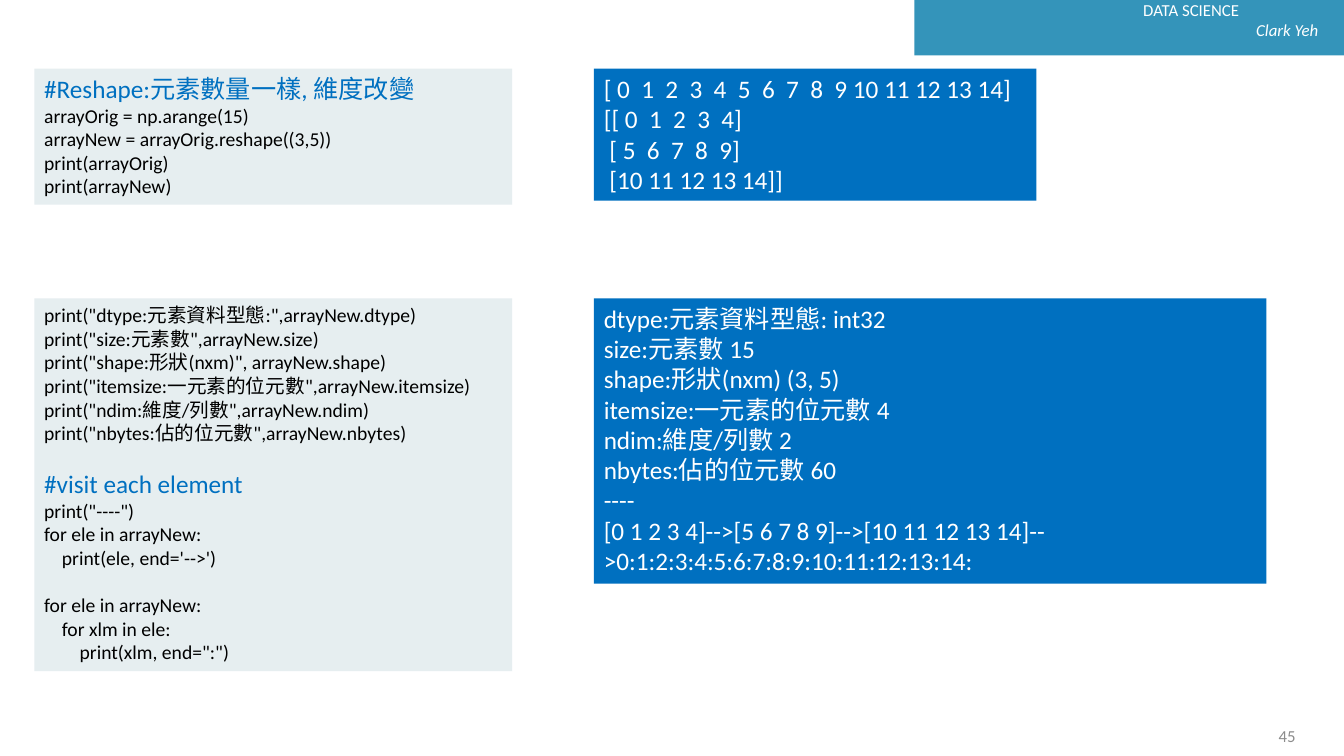
from dataclasses import dataclass

from pptx import Presentation
from pptx.dml.color import RGBColor
from pptx.enum.shapes import MSO_SHAPE
from pptx.enum.text import MSO_ANCHOR, PP_ALIGN
from pptx.util import Inches, Pt

RECTANGLE = MSO_SHAPE.RECTANGLE
MIDDLE = MSO_ANCHOR.MIDDLE
LEFT, RIGHT = PP_ALIGN.LEFT, PP_ALIGN.RIGHT

FONT = "Calibri"
COLORS = {
    "banner": "3494BA",
    "code_fill": "E6EEF0",
    "code": "000000",
    "heading": "0070C0",
    "output_fill": "0070C0",
    "white": "FFFFFF",
    "page": "8C8C8C",
}
CODE_SIZE, LARGE_SIZE, SMALL_SIZE = 14, 18, 12
BLANK_LINE = Pt(17)
CODE_LEFT, OUTPUT_LEFT = 0.34, 5.89
RESHAPE_TOP, ATTRIBUTES_TOP = 0.68, 2.96


@dataclass(frozen=True)
class Panel:
    """A block of code or output; each section is set off by a line's height."""
    left: float
    top: float
    width: float
    height: float
    fill: str
    color: str
    size: int
    sections: tuple[str, ...]


PANELS = (
    Panel(CODE_LEFT, RESHAPE_TOP, 4.74, 1.35, "code_fill", "code", CODE_SIZE, (
        """#Reshape:元素數量一樣, 維度改變
arrayOrig = np.arange(15)
arrayNew = arrayOrig.reshape((3,5))
print(arrayOrig)
print(arrayNew)""",
    )),
    Panel(OUTPUT_LEFT, RESHAPE_TOP, 4.39, 1.31, "output_fill", "white", LARGE_SIZE, (
        """[ 0  1  2  3  4  5  6  7  8  9 10 11 12 13 14]
[[ 0  1  2  3  4]
 [ 5  6  7  8  9]
 [10 11 12 13 14]]""",
    )),
    Panel(CODE_LEFT, ATTRIBUTES_TOP, 4.74, 3.7, "code_fill", "code", CODE_SIZE, (
        """print("dtype:元素資料型態:",arrayNew.dtype)
print("size:元素數",arrayNew.size)
print("shape:形狀(nxm)", arrayNew.shape)
print("itemsize:一元素的位元數",arrayNew.itemsize)
print("ndim:維度/列數",arrayNew.ndim)
print("nbytes:佔的位元數",arrayNew.nbytes)""",
        """#visit each element
print("----")
for ele in arrayNew:
    print(ele, end='-->')""",
        """for ele in arrayNew:
    for xlm in ele:
        print(xlm, end=":")""",
    )),
    Panel(OUTPUT_LEFT, ATTRIBUTES_TOP, 6.67, 2.83, "output_fill", "white", LARGE_SIZE, (
        """dtype:元素資料型態: int32
size:元素數 15
shape:形狀(nxm) (3, 5)
itemsize:一元素的位元數 4
ndim:維度/列數 2
nbytes:佔的位元數 60
----
[0 1 2 3 4]-->[5 6 7 8 9]-->[10 11 12 13 14]-->0:1:2:3:4:5:6:7:8:9:10:11:12:13:14:""",
    )),
)


def rgb(name: str) -> RGBColor:
    return RGBColor.from_string(COLORS[name])


def format_line(paragraph, size: int, color: str, align=LEFT) -> None:
    paragraph.alignment = align
    for run in paragraph.runs:
        run.font.name = FONT
        run.font.size = Pt(size)
        run.font.color.rgb = rgb(color)


def add_block(slide, left: float, top: float, width: float, height: float, fill: str):
    block = slide.shapes.add_shape(
        RECTANGLE, Inches(left), Inches(top), Inches(width), Inches(height))
    block.shadow.inherit = False
    block.fill.solid()
    block.fill.fore_color.rgb = rgb(fill)
    block.line.fill.background()
    return block


def add_panel(slide, panel: Panel) -> None:
    block = add_block(slide, panel.left, panel.top, panel.width, panel.height, panel.fill)
    frame = block.text_frame
    frame.word_wrap = True
    frame.vertical_anchor = MSO_ANCHOR.TOP
    frame.text = "\n".join(panel.sections)
    for paragraph in frame.paragraphs:
        if paragraph.text.startswith("#"):
            format_line(paragraph, LARGE_SIZE, "heading")
        else:
            format_line(paragraph, panel.size, panel.color)
    section_start = 0
    for section in panel.sections[:-1]:
        section_start += len(section.splitlines())
        frame.paragraphs[section_start].space_before = BLANK_LINE


def add_label(slide, left: float, top: float, width: float, height: float,
              text: str, color: str, align=LEFT):
    label = slide.shapes.add_textbox(
        Inches(left), Inches(top), Inches(width), Inches(height))
    frame = label.text_frame
    frame.word_wrap = True
    frame.text = text
    for paragraph in frame.paragraphs:
        format_line(paragraph, SMALL_SIZE, color, align)
    return frame


def add_banner(slide) -> None:
    add_block(slide, 9.07, 0, 4.27, 0.55, "banner")
    frame = add_label(slide, 11.24, -0.05, 2.11, 0.5, "DATA SCIENCE\nClark Yeh", "white")
    author = frame.paragraphs[1]
    author.runs[0].font.italic = True
    author._p.get_or_add_pPr().set("marL", str(Inches(1.12)))


def main() -> None:
    deck = Presentation()
    deck.slide_width, deck.slide_height = Inches(13.33), Inches(7.5)
    slide = deck.slides.add_slide(deck.slide_layouts[6])
    add_banner(slide)
    page_number = add_label(slide, 9.95, 7.1, 3, 0.4, "45", "page", RIGHT)
    page_number.vertical_anchor = MIDDLE
    for panel in PANELS:
        add_panel(slide, panel)
    deck.save("out.pptx")


if __name__ == "__main__":
    main()
